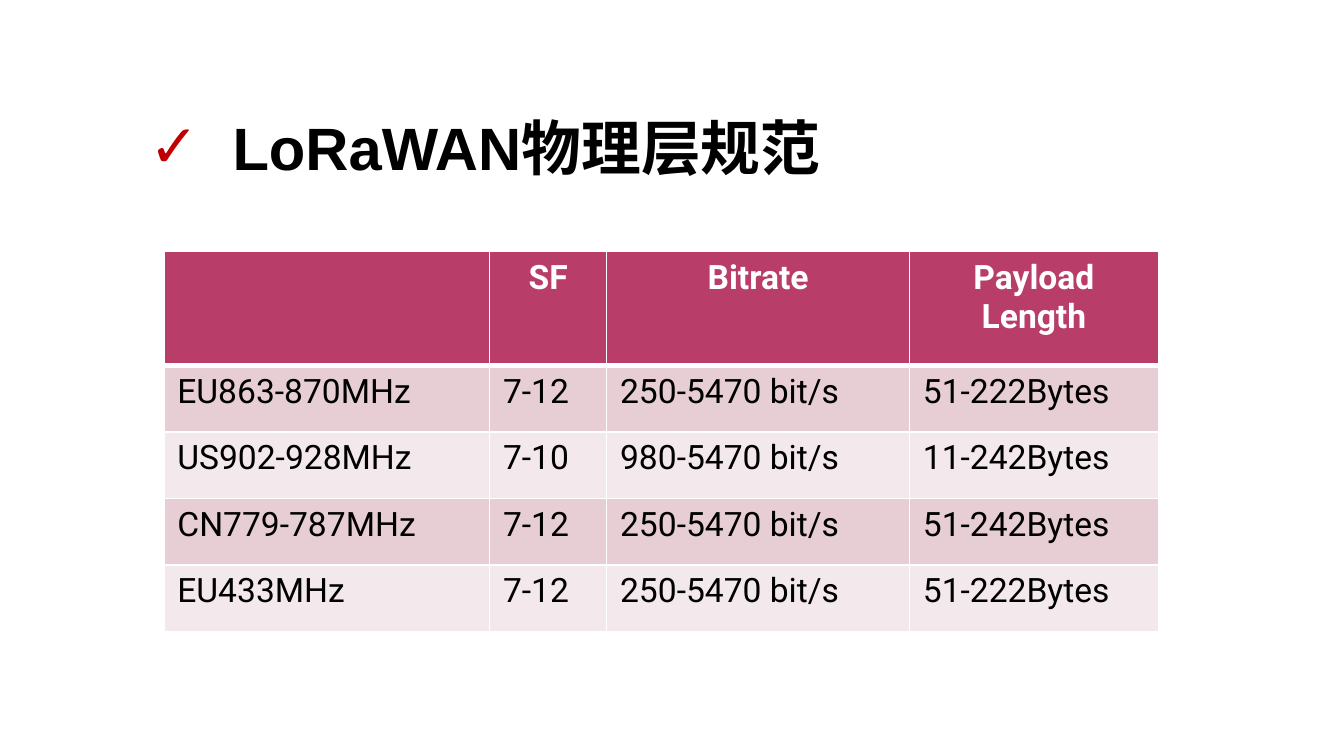
from dataclasses import dataclass

from lxml.etree import SubElement
from pptx import Presentation
from pptx.dml.color import RGBColor
from pptx.enum.text import MSO_ANCHOR, MSO_AUTO_SIZE, PP_ALIGN
from pptx.oxml import parse_xml
from pptx.oxml.ns import nsdecls, qn
from pptx.util import Emu, Inches, Pt


@dataclass(frozen=True)
class Theme:
    title_font: str = "Arial"
    table_font: str = "Roboto"
    title_size: int = 32
    table_size: int = 18
    ink: str = "000000"
    paper: str = "FFFFFF"
    check: str = "C00000"
    header: str = "B83D68"
    bands: tuple[str, str] = ("E6CED4", "F3E8EB")
    rule: float = 1
    header_rule: float = 3


@dataclass(frozen=True)
class Band:
    name: str
    spreading_factor: str
    bitrate: str
    payload: str

    def values(self) -> tuple[str, ...]:
        return self.name, self.spreading_factor, self.bitrate, self.payload


THEME = Theme()
HEADER = Band("", "SF", "Bitrate", "Payload Length")
BANDS = [
    Band("EU863-870MHz", "7-12", "250-5470 bit/s", "51-222Bytes"),
    Band("US902-928MHz", "7-10", "980-5470 bit/s", "11-242Bytes"),
    Band("CN779-787MHz", "7-12", "250-5470 bit/s", "51-242Bytes"),
    Band("EU433MHz", "7-12", "250-5470 bit/s", "51-222Bytes"),
]
# Table grid: column widths are shares of the table's width
TABLE_WIDTH, TABLE_HEIGHT = 7.4, 2.83
COLUMN_SHARES = [2.42, 0.87, 2.25, 1.85]
HEADER_HEIGHT = 0.85
ROW_HEIGHT = (TABLE_HEIGHT - HEADER_HEIGHT) / len(BANDS)


def add_span(para, text: str, font: str, size: int, color: str, bold: bool) -> None:
    span = para.add_run()
    span.text = text
    span.font.name = font
    span.font.size = Pt(size)
    span.font.bold = bold
    span.font.color.rgb = RGBColor.from_string(color)


def add_check_bullet(para, indent: Emu) -> None:
    properties = para._p.get_or_add_pPr()
    properties.set("marL", str(indent))
    properties.set("indent", str(-indent))
    color = SubElement(properties, qn("a:buClr"))
    SubElement(color, qn("a:srgbClr"), val=THEME.check)
    SubElement(properties, qn("a:buFont"), typeface=THEME.title_font)
    SubElement(properties, qn("a:buChar"), char="✓")


def set_borders(cell, top: float, bottom: float) -> None:
    widths = {"lnL": THEME.rule, "lnR": THEME.rule, "lnT": top, "lnB": bottom}
    for position, (side, width) in enumerate(widths.items()):
        line = parse_xml(
            f'<a:{side} {nsdecls("a")} w="{Pt(width)}"><a:solidFill>'
            f'<a:srgbClr val="{THEME.paper}"/></a:solidFill></a:{side}>'
        )
        cell._tc.get_or_add_tcPr().insert(position, line)


def fill_row(table, index: int, band: Band) -> None:
    is_header = index == 0
    fill = THEME.header if is_header else THEME.bands[(index - 1) % 2]
    color = THEME.paper if is_header else THEME.ink
    top = THEME.header_rule if index == 1 else THEME.rule
    bottom = THEME.header_rule if is_header else THEME.rule
    table.rows[index].height = Inches(HEADER_HEIGHT if is_header else ROW_HEIGHT)
    for cell, text in zip(table.rows[index].cells, band.values()):
        cell.fill.solid()
        cell.fill.fore_color.rgb = RGBColor.from_string(fill)
        set_borders(cell, top, bottom)
        para = cell.text_frame.paragraphs[0]
        para.alignment = PP_ALIGN.CENTER if is_header else PP_ALIGN.LEFT
        if text:
            add_span(para, text, THEME.table_font, THEME.table_size, color, is_header)


def add_title(page, text: str) -> None:
    box = page.shapes.title
    box.left, box.top = Inches(1.01), Inches(0.51)
    box.width, box.height = Inches(8.11), Inches(0.78)
    frame = box.text_frame
    frame.word_wrap = True
    frame.auto_size = MSO_AUTO_SIZE.SHAPE_TO_FIT_TEXT
    frame.vertical_anchor = MSO_ANCHOR.TOP
    para = frame.paragraphs[0]
    para.alignment = PP_ALIGN.LEFT
    para.line_spacing = 1.5
    add_check_bullet(para, Inches(0.62))
    add_span(para, text, THEME.title_font, THEME.title_size, THEME.ink, True)


def add_band_table(page) -> None:
    rows = [HEADER, *BANDS]
    table = page.shapes.add_table(
        len(rows), len(COLUMN_SHARES), Inches(1.22), Inches(1.87),
        Inches(TABLE_WIDTH), Inches(TABLE_HEIGHT),
    ).table
    table.horz_banding = False
    for column, share in zip(table.columns, COLUMN_SHARES):
        column.width = Inches(TABLE_WIDTH * share / sum(COLUMN_SHARES))
    for index, band in enumerate(rows):
        fill_row(table, index, band)


def main() -> None:
    deck = Presentation()
    # Widescreen page, 16 to 9
    deck.slide_width = Inches(10)
    deck.slide_height = Inches(10 * 9 / 16)
    page = deck.slides.add_slide(deck.slide_layouts.get_by_name("Title Only"))
    add_title(page, "LoRaWAN物理层规范")
    add_band_table(page)
    deck.save("out.pptx")


if __name__ == "__main__":
    main()
